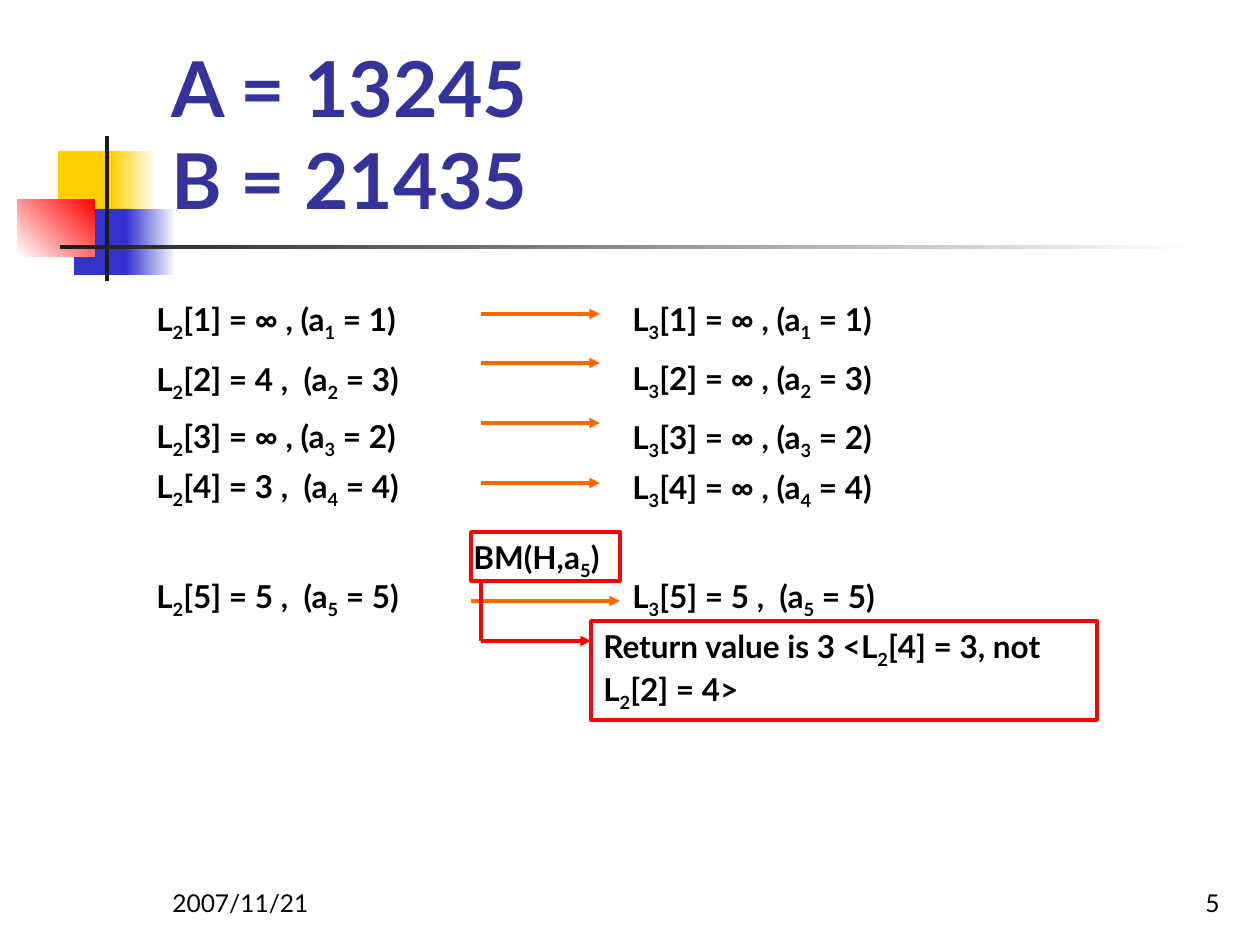
from lxml import etree
from pptx import Presentation
from pptx import util as u
from pptx.dml.color import RGBColor
from pptx.enum import shapes, text
from pptx.oxml.ns import qn

EMU_PER_PX = 914400 / 126
FONT = "Lato"
BLACK = RGBColor(0x00, 0x00, 0x00)
WHITE = RGBColor(0xFF, 0xFF, 0xFF)
INK = RGBColor(0x1C, 0x1C, 0x1C)
YELLOW = RGBColor(0xFF, 0xCF, 0x01)
BLUE = RGBColor(0x33, 0x33, 0xCC)
RED = RGBColor(0xFF, 0x00, 0x00)
NAVY = RGBColor(0x33, 0x33, 0x99)
ORANGE = RGBColor(0xFF, 0x66, 0x00)

TITLE = {"size": u.Pt(44), "bold": True, "color": NAVY}
BODY = {"size": u.Pt(18), "bold": True, "color": BLACK}
FOOTER = {"size": u.Pt(14), "bold": False, "color": BLACK}

# (index, value in L2, value in L3, element of a, y of L2, y of L3, y of arrow)
STEPS = [
    (1, "∞ , ", "∞ , ", 1, 0, 0, 20),
    (2, "4 ,  ", "∞ , ", 3, 60, 59, 69),
    (3, "∞ , ", "∞ , ", 2, 117, 118, 129),
    (4, "3 ,  ", "∞ , ", 4, 167, 168, 189),
    (5, "5 ,  ", "5 ,  ", 5, 277, 277, 307),
]


def px(*lengths):
    return [u.Emu(round(length * EMU_PER_PX)) for length in lengths]


def write(frame, content, style, align=text.PP_ALIGN.LEFT, anchor=text.MSO_ANCHOR.TOP):
    """Fill a text frame; the character after each underscore is a subscript."""
    frame.word_wrap = True
    frame.vertical_anchor = anchor
    paragraph = frame.paragraphs[0]
    paragraph.alignment = align

    def add_run(words, subscript=False):
        if not words:
            return
        run = paragraph.add_run()
        run.text = words
        run.font.name = FONT
        run.font.color.rgb = style["color"]
        for key in ("size", "bold"):
            setattr(run.font, key, style[key])
        if subscript:
            run._r.get_or_add_rPr().set("baseline", "-25000")

    for number, line in enumerate(content.split("\n")):
        if number:
            paragraph.add_line_break()
        first, *rest = line.split("_")
        add_run(first)
        for part in rest:
            add_run(part[0], subscript=True)
            add_run(part[1:])


def add_label(slide, box, content, style, **placing):
    write(slide.shapes.add_textbox(*px(*box)).text_frame, content, style, **placing)


def add_rect(slide, box):
    rect = slide.shapes.add_shape(shapes.MSO_SHAPE.RECTANGLE, *px(*box))
    rect.shadow.inherit = False
    rect.fill.background()
    rect.line.fill.background()
    return rect


def add_frame(slide, box):
    frame = add_rect(slide, box)
    frame.line.color.rgb = RED
    frame.line.width = u.Pt(2)
    return frame


def add_line(slide, start, end, color, arrow=True):
    line = slide.shapes.add_connector(shapes.MSO_CONNECTOR.STRAIGHT, *px(*start, *end))
    line.line.color.rgb = color
    line.line.width = u.Pt(2)
    if arrow:
        etree.SubElement(line.line._get_or_add_ln(), qn("a:tailEnd"), type="triangle")
    etree.SubElement(line._element.spPr, qn("a:effectLst"))


def add_ornament(slide, left, top):
    """Overlapping squares and crossing bars; an angle marks a fade."""
    parts = [
        (40, 15, 60, 66, YELLOW, None),
        (93, 15, 45, 66, YELLOW, 180),
        (56, 73, 58, 66, BLUE, None),
        (108, 73, 50, 66, BLUE, 180),
        (0, 63, 77, 58, RED, 45),
        (87, 0, 4, 145, INK, None),
        (42, 109, 1134, 4, INK, 180),
    ]
    for x, y, width, height, color, angle in parts:
        fill = add_rect(slide, (left + x, top + y, width, height)).fill
        if angle is None:
            fill.solid()
            fill.fore_color.rgb = color
            continue
        fill.gradient()
        fill.gradient_angle = angle
        for stop, shade in zip(fill.gradient_stops, (WHITE, color)):
            stop.color.rgb = shade


def add_steps(slide, left, top):
    """Rows of L2 on the left, L3 on the right and an arrow between."""
    for index, before, after, element, y_before, y_after, y_arrow in STEPS:
        for level, value, x, y in ((2, before, 0, y_before), (3, after, 476, y_after)):
            add_label(slide, (left + x, top + y, 338, 55),
                      f"L_{level}[{index}] = {value}(a_{index} = {element})", BODY)
        start, end = (327, 476) if index == 5 else (337, 456)
        add_line(slide, (left + start, top + y_arrow), (left + end, top + y_arrow), ORANGE)


def add_match_note(slide, left, top):
    """The BM call, its elbow arrow and the returned value."""
    add_label(slide, (left - 10, top, 189, 55), "BM(H,a_5)", BODY)
    add_frame(slide, (left, top, 149, 49))
    corner = (left + 10, top + 109)
    add_line(slide, (left + 10, top + 50), corner, RED, arrow=False)
    add_line(slide, corner, (left + 120, top + 109), RED)
    result = add_frame(slide, (left + 120, top + 89, 506, 99))
    write(result.text_frame, "Return value is 3 <L_2[4] = 3, not L_2[2] = 4>", BODY)


def add_footer(slide, left, top):
    bottom = text.MSO_ANCHOR.BOTTOM
    add_label(slide, (left, top, 262, 63), "2007/11/21", FOOTER, anchor=bottom)
    add_label(slide, (left + 810, top, 262, 63), "5", FOOTER,
              align=text.PP_ALIGN.RIGHT, anchor=bottom)


def main():
    deck = Presentation()
    deck.slide_width, deck.slide_height = px(1260, 945)
    slide = deck.slides.add_slide(deck.slide_layouts[6])
    add_ornament(slide, 18, 136)
    add_label(slide, (159, 29, 1074, 202), "A = 13245\nB = 21435", TITLE,
              anchor=text.MSO_ANCHOR.BOTTOM)
    add_steps(slide, 144, 294)
    add_match_note(slide, 471, 532)
    add_footer(slide, 160, 861)
    deck.save("out.pptx")


if __name__ == "__main__":
    main()
